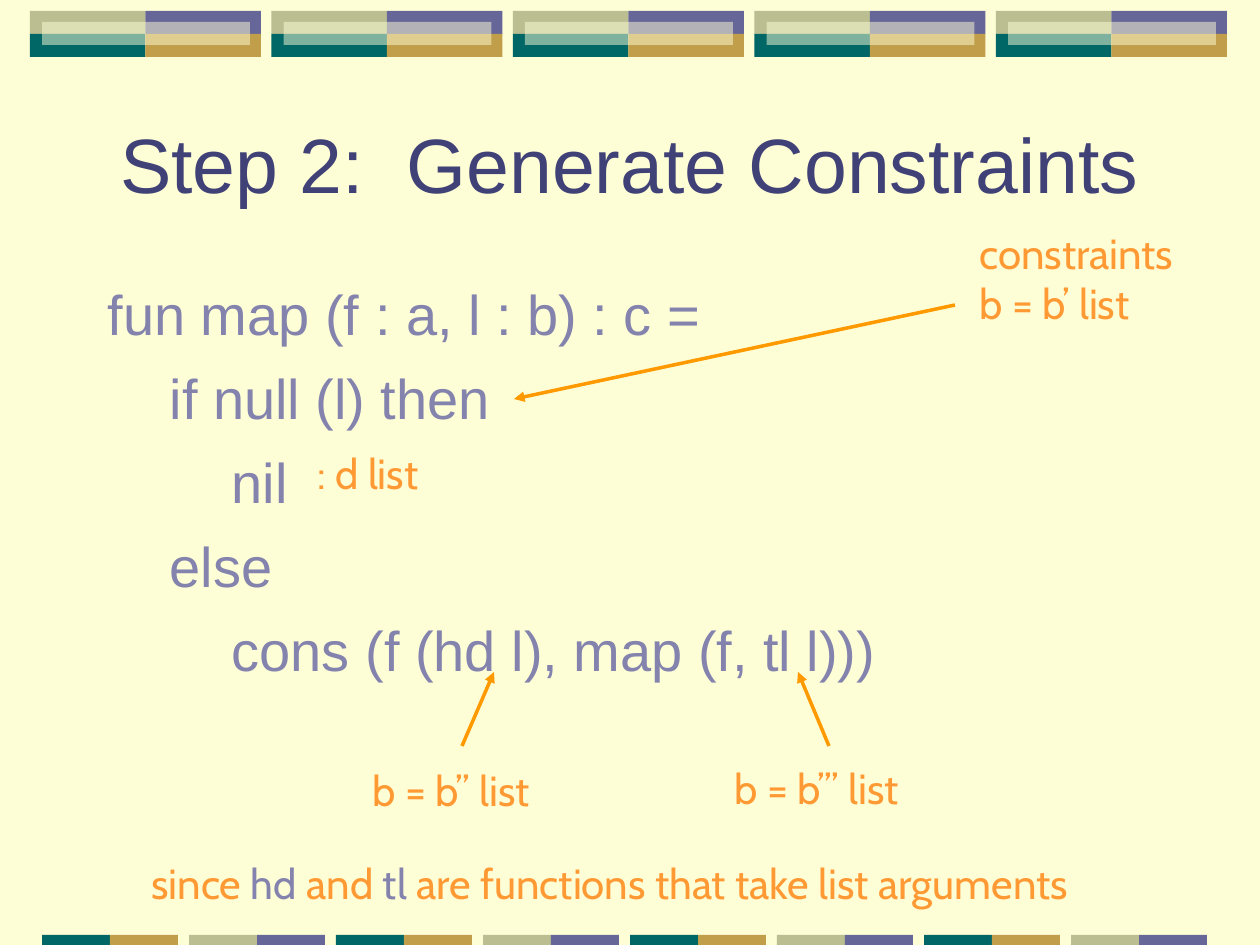
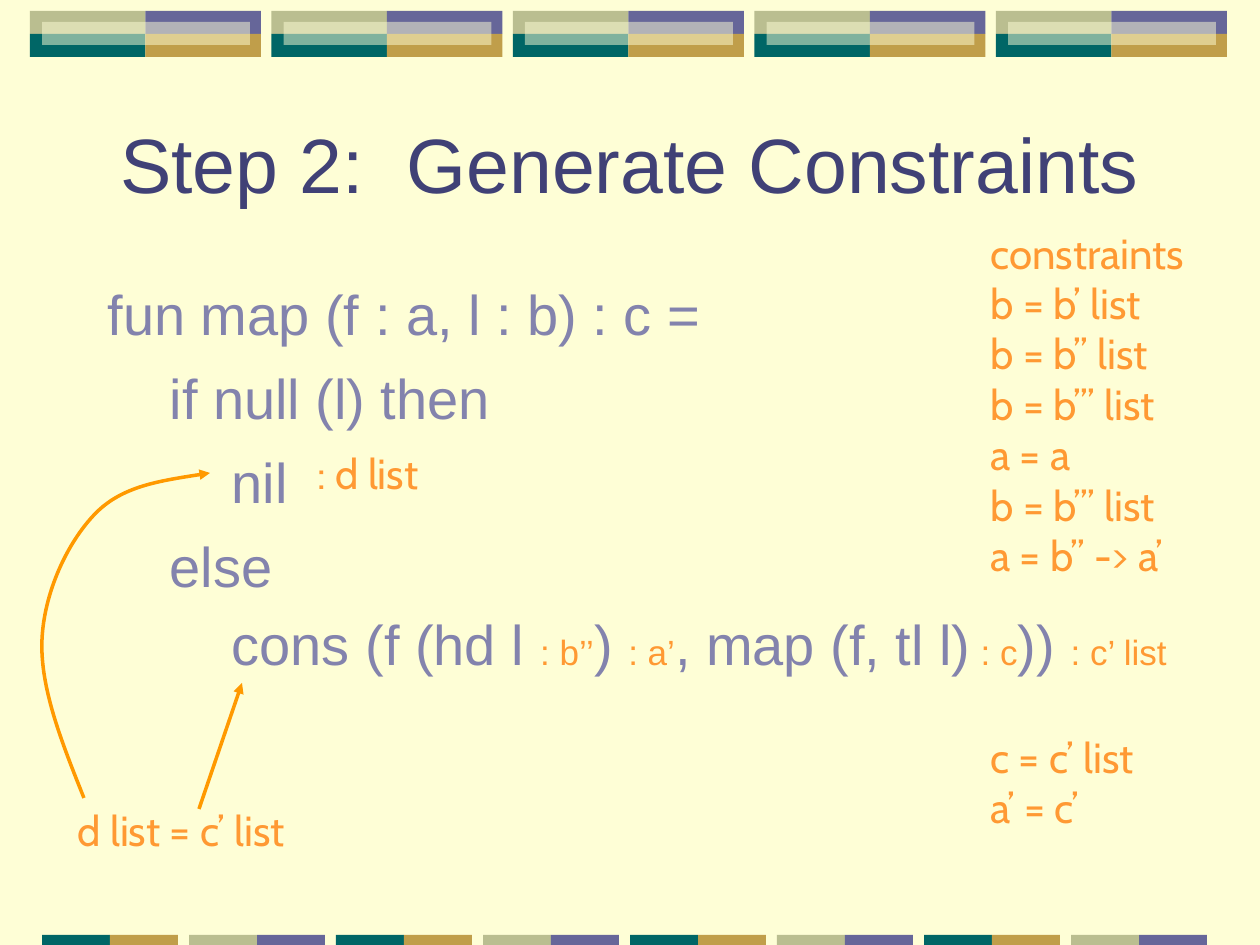
from lxml.etree import SubElement
from pptx import Presentation
from pptx.dml.color import RGBColor
from pptx.enum.shapes import MSO_CONNECTOR, MSO_SHAPE
from pptx.enum.text import MSO_ANCHOR, PP_ALIGN
from pptx.oxml.ns import qn
from pptx.util import Emu, Pt

PX = 914400 / 126
CREAM = RGBColor(0xFE, 0xFE, 0xD6)
VIOLET = RGBColor(0x66, 0x66, 0x99)
GOLD = RGBColor(0xC0, 0x9E, 0x4A)
TEAL = RGBColor(0x00, 0x66, 0x66)
SAGE = RGBColor(0xBA, 0xBE, 0x90)
TITLE_BLUE = RGBColor(0x40, 0x41, 0x76)
CODE_BLUE = RGBColor(0x83, 0x83, 0xAD)
NOTE_ORANGE = RGBColor(0xFF, 0x99, 0x33)
ARROW_ORANGE = RGBColor(0xFF, 0x99, 0x00)

TITLE_BOX = (0, 84, 1260, 158)
CODE_START = [
    (0, "fun map (f : a, l : b) : c ="),
    (1, "if null (l) then"),
    (2, "nil"),
    (1, "else"),
]
LEVEL_INDENT = 62


def px(length):
    return Emu(round(length * PX))


def place(shape, box):
    shape.left, shape.top, shape.width, shape.height = map(px, box)


def add_tile(page, box, color, alpha=None):
    tile = page.shapes.add_shape(MSO_SHAPE.RECTANGLE, *map(px, box))
    tile.shadow.inherit = False
    tile.line.fill.background()
    tile.fill.solid()
    tile.fill.fore_color.rgb = color
    if alpha is not None:
        color_node = tile.element.spPr.find(qn("a:solidFill"))[0]
        SubElement(color_node, qn("a:alpha"), val=str(alpha * 1000))


def add_top_band(page, box):
    left, top, width, height = box
    half, row = width / 2, height // 2
    for index in range(5):
        x = left + index * 241.5
        add_tile(page, (x, top, half, row), SAGE)
        add_tile(page, (x + half, top, half, row), VIOLET)
        add_tile(page, (x, top + row, half, row), TEAL)
        add_tile(page, (x + half, top + row, half, row), GOLD)
        add_tile(page, (x + 12, top + 11, width - 23, row), CREAM, alpha=50)


def add_bottom_band(page, box):
    left, top, width, height = box
    for index in range(8):
        x = left + index * 147
        first, second = ((TEAL, GOLD), (SAGE, VIOLET))[index % 2]
        add_tile(page, (x, top, width, height), first)
        add_tile(page, (x + width, top, width, height), second)


def decorate_master(deck, page):
    master = deck.slide_master
    master.background.fill.solid()
    master.background.fill.fore_color.rgb = CREAM
    add_top_band(page, (30, 11, 231, 46))
    add_bottom_band(page, (42, 935, 68, 10))
    tiles = [shape for shape in page.shapes if not shape.is_placeholder]
    for number, tile in enumerate(tiles, start=100):
        tile.element.nvSpPr.cNvPr.set("id", str(number))
        master.shapes.element.append(tile.element)


def add_spans(para, content, color, small_size=None):
    spans = [(content, color)] if isinstance(content, str) else content
    for text, span_color in spans:
        span = para.add_run()
        span.text = text
        span.font.color.rgb = span_color
        if small_size and span_color != color:
            span.font.size = small_size


def fill_title(page, box):
    title = page.shapes.title
    place(title, box)
    title.text_frame.text = "Step 2:  Generate Constraints"
    title.text_frame.vertical_anchor = MSO_ANCHOR.MIDDLE
    para = title.text_frame.paragraphs[0]
    para.alignment = PP_ALIGN.CENTER
    para.font.name = "Arial"
    para.font.size = Pt(44)
    para.font.color.rgb = TITLE_BLUE


def fill_code(page, box, last_line, last_gap):
    body = page.placeholders[1]
    place(body, box)
    frame = body.text_frame
    lines = CODE_START + [(2, last_line)]
    for index, (level, content) in enumerate(lines):
        para = frame.paragraphs[0] if index == 0 else frame.add_paragraph()
        para.font.name = "Arial"
        para.font.size = Pt(32)
        para.space_before = last_gap if index == len(lines) - 1 else Pt(9.6)
        properties = para._p.get_or_add_pPr()
        properties.set("marL", str(px(level * LEVEL_INDENT)))
        properties.set("indent", "0")
        properties.insert_element_before(
            properties.makeelement(qn("a:buNone")), "a:tabLst", "a:defRPr", "a:extLst")
        add_spans(para, content, CODE_BLUE, Pt(20))


def add_note(page, box, lines, gap_line=None):
    note = page.shapes.add_textbox(*map(px, box))
    frame = note.text_frame
    frame.word_wrap = True
    for index, content in enumerate(lines):
        para = frame.paragraphs[0] if index == 0 else frame.add_paragraph()
        para.font.name = "Cabin"
        para.font.size = Pt(24)
        if index == gap_line:
            para.space_before = Pt(86.4)
        add_spans(para, content, NOTE_ORANGE)


def style_arrow(arrow):
    arrow.line.color.rgb = ARROW_ORANGE
    arrow.line.width = Pt(2)
    outline = arrow.element.spPr.find(qn("a:ln"))
    SubElement(outline, qn("a:tailEnd"), type="triangle")


def add_arrow(page, start, end):
    arrow = page.shapes.add_connector(MSO_CONNECTOR.STRAIGHT, *map(px, start + end))
    style_arrow(arrow)
    SubElement(arrow.element.spPr, qn("a:effectLst"))


def add_curved_arrow(page, start, points):
    builder = page.shapes.build_freeform(*start, scale=PX)
    builder.add_line_segments(points, close=False)
    arrow = builder.convert_to_shape()
    arrow.shadow.inherit = False
    arrow.fill.background()
    style_arrow(arrow)
    segments = list(arrow.element.iter(qn("a:lnTo")))
    for first, second, third in zip(segments[::3], segments[1::3], segments[2::3]):
        first.tag = qn("a:cubicBezTo")
        for extra in (second, third):
            first.append(extra[0])
            extra.getparent().remove(extra)


def fill_page(page, code_width, last_line, last_gap):
    fill_title(page, TITLE_BOX)
    fill_code(page, (95, 273, code_width, 567), last_line, last_gap)
    add_note(page, (305, 441, 141, 63), [": d list"])


def build_list_page(page):
    fill_page(page, 1071, "cons (f (hd l), map (f, tl l)))", Pt(9.6))
    add_note(page, (967, 221, 245, 113), ["constraints", "b = b’ list"])
    add_note(page, (360, 758, 206, 63), ["b = b’’ list"])
    add_note(page, (722, 756, 213, 63), ["b = b’’’ list"])
    add_note(page, (139, 851, 1065, 63), [[
        ("since ", NOTE_ORANGE),
        ("hd", CODE_BLUE),
        (" and ", NOTE_ORANGE),
        ("tl", CODE_BLUE),
        (" are functions that take list arguments", NOTE_ORANGE),
    ]])
    add_arrow(page, (955, 305), (514, 399))
    add_arrow(page, (462, 746), (494, 672))
    add_arrow(page, (829, 746), (798, 672))


def build_result_page(page):
    last_line = [
        ("cons (f (hd l ", CODE_BLUE),
        (": b’’", NOTE_ORANGE),
        (") ", CODE_BLUE),
        (": a’", NOTE_ORANGE),
        (", map (f, tl l)", CODE_BLUE),
        (" : c", NOTE_ORANGE),
        (")) ", CODE_BLUE),
        (": c’ list", NOTE_ORANGE),
    ]
    fill_page(page, 1134, last_line, Pt(6.4))
    constraints = [
        "constraints", "b = b’ list", "b = b’’ list", "b = b’’’ list", "a = a",
        "b = b’’’ list", "a = b’’ -> a’", "c = c’ list", "a’ = c’",
    ]
    add_note(page, (978, 221, 245, 617), constraints, gap_line=7)
    add_note(page, (65, 798, 260, 63), ["d list = c’ list"])
    add_arrow(page, (199, 809), (242, 683))
    add_curved_arrow(page, (84, 798), [
        (62, 743), (40, 688), (42, 640),
        (44, 593), (67, 543), (95, 514),
        (122, 486), (166, 480), (210, 473),
    ])


def main():
    deck = Presentation()
    deck.slide_width, deck.slide_height = px(1260), px(945)
    layout = deck.slide_layouts[1]
    list_page, result_page = (deck.slides.add_slide(layout) for _ in range(2))
    decorate_master(deck, list_page)
    build_list_page(list_page)
    build_result_page(result_page)
    deck.save("out.pptx")


if __name__ == "__main__":
    main()
